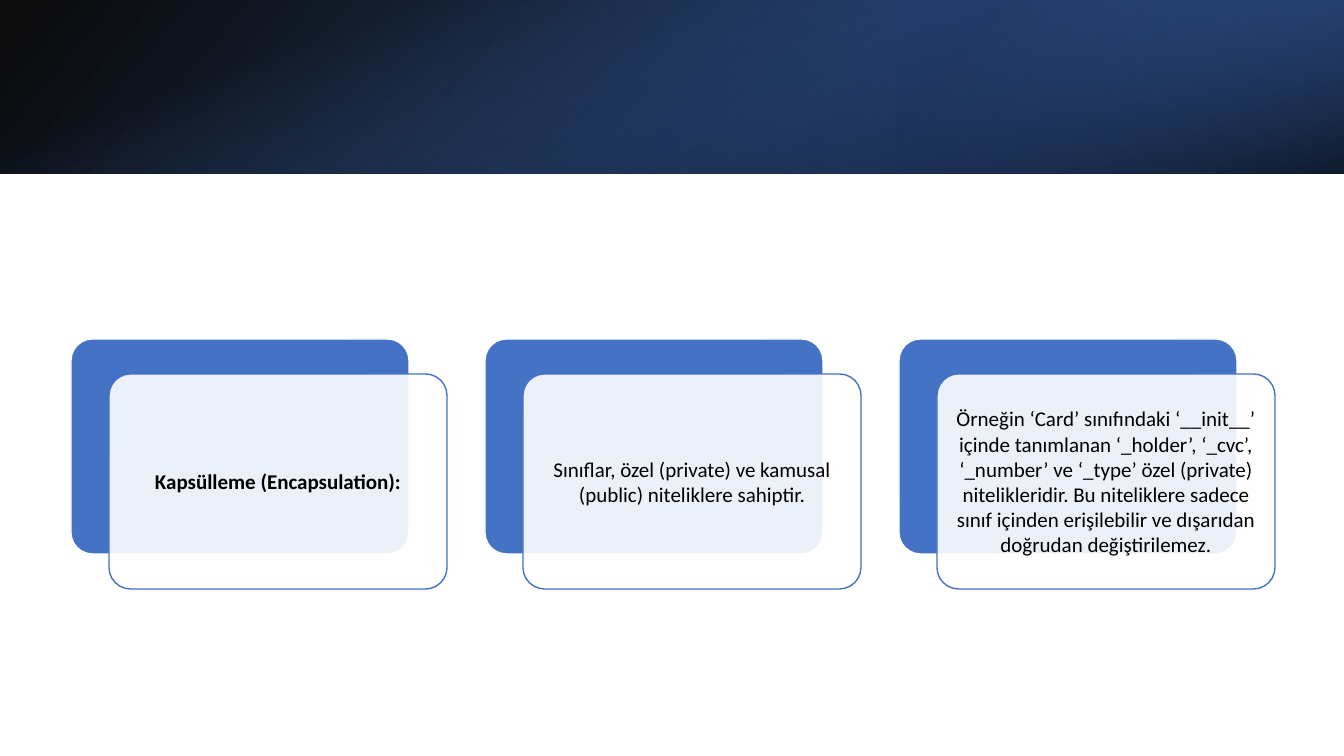
from dataclasses import dataclass

from lxml import etree
from pptx import Presentation
from pptx.dml.color import RGBColor
from pptx.enum.shapes import MSO_SHAPE as Shape
from pptx.enum.text import MSO_ANCHOR, PP_ALIGN
from pptx.oxml import parse_xml
from pptx.oxml.ns import nsdecls, qn
from pptx.util import Pt

CARDS = [
    ("Kapsülleme (Encapsulation):", True),
    ("Sınıflar, özel (private) ve kamusal (public) niteliklere sahiptir.", False),
    ("Örneğin ‘Card’ sınıfındaki ‘__init__’ içinde tanımlanan ‘_holder’, ‘_cvc’, "
     "‘_number’ ve ‘_type’ özel (private) nitelikleridir. Bu niteliklere sadece "
     "sınıf içinden erişilebilir ve dışarıdan doğrudan değiştirilemez.", False),
]


@dataclass(frozen=True)
class Theme:
    accent: str = "4472C4"
    mid_blue: str = "2F5597"
    navy: str = "203864"
    white: str = "FFFFFF"
    black: str = "000000"
    font: str = "Calibri"
    body: int = 15


T = Theme()
SLIDE_W, SLIDE_H = 1344, 756
BAND_H = 174
CARD_X, CARD_Y, CARD_W, CARD_H = 71, 339, 338, 215
CARD_STEP = 414
FRONT_DX, FRONT_DY = 38, 35
INSET = 6

# box, rotation, flipped, gradient angle, stops as (position %, colour, opacity %)
SIDE = (SLIDE_W - BAND_H) // 2
BAND_LAYERS = [
    ((0, 0, SLIDE_W, BAND_H), 0, True, 140,
     [(0, T.black, 96), (100, T.mid_blue, 100)]),
    ((SLIDE_W * 2 // 3, 0, SLIDE_W // 3, BAND_H), 180, True, 320,
     [(19, T.navy, 68), (100, T.accent, 79)]),
    ((SIDE, -SIDE, BAND_H, SLIDE_W), 90, False, 340,
     [(23, T.accent, 0), (99, T.black, 74)]),
]


def px(n):
    return round(n * 914400 / 100.8)


def rgb(color):
    return RGBColor.from_string(color)


def add_box(shapes, kind, box):
    sp = shapes.add_shape(kind, *map(px, box))
    sp.shadow.inherit = False
    return sp


def set_gradient(sp, angle, stops):
    """Replace the fill by a linear gradient whose stops carry opacity."""
    gs = "".join(
        f'<a:gs pos="{pos * 1000}"><a:srgbClr val="{color}">'
        f'<a:alpha val="{alpha * 1000}"/></a:srgbClr></a:gs>'
        for pos, color, alpha in stops)
    grad = parse_xml(
        f'<a:gradFill {nsdecls("a")} rotWithShape="1"><a:gsLst>{gs}</a:gsLst>'
        f'<a:lin ang="{angle * 60000}" scaled="0"/></a:gradFill>')
    sp.element.spPr.find(qn("a:prstGeom")).addnext(grad)


def add_band(shapes):
    for box, rotation, flipped, angle, stops in BAND_LAYERS:
        sp = add_box(shapes, Shape.RECTANGLE, box)
        sp.rotation = rotation
        if flipped:
            sp.element.spPr.find(qn("a:xfrm")).set("flipH", "1")
        set_gradient(sp, angle, stops)
        sp.line.fill.background()


def add_panel(shapes, x, y, fill, line):
    sp = add_box(shapes, Shape.ROUNDED_RECTANGLE, (x, y, CARD_W, CARD_H))
    sp.adjustments[0] = 0.1
    sp.fill.solid()
    sp.fill.fore_color.rgb = rgb(fill)
    sp.line.color.rgb = rgb(line)
    sp.line.width = Pt(1)
    return sp


def add_card(shapes, x, text, bold):
    add_panel(shapes, x, CARD_Y, T.accent, T.white)
    front = add_panel(shapes, x + FRONT_DX, CARD_Y + FRONT_DY, T.white, T.accent)
    color = front.element.spPr.find(qn("a:solidFill")).find(qn("a:srgbClr"))
    etree.SubElement(color, qn("a:alpha")).set("val", "90000")

    tf = front.text_frame
    tf.word_wrap = True
    tf.vertical_anchor = MSO_ANCHOR.MIDDLE
    tf.margin_left = tf.margin_right = tf.margin_top = tf.margin_bottom = px(INSET)
    tf.text = text
    p = tf.paragraphs[0]
    p.alignment = PP_ALIGN.CENTER
    p.space_after = Pt(5)
    font = p.runs[0].font
    font.name, font.size, font.bold = T.font, Pt(T.body), bold
    font.color.rgb = rgb(T.black)


def main():
    prs = Presentation()
    prs.slide_width, prs.slide_height = px(SLIDE_W), px(SLIDE_H)
    s = prs.slides.add_slide(prs.slide_layouts[6])
    add_band(s.shapes)
    cards = s.shapes.add_group_shape()
    for i, (text, bold) in enumerate(CARDS):
        add_card(cards.shapes, CARD_X + i * CARD_STEP, text, bold)
    prs.save("out.pptx")


if __name__ == "__main__":
    main()
